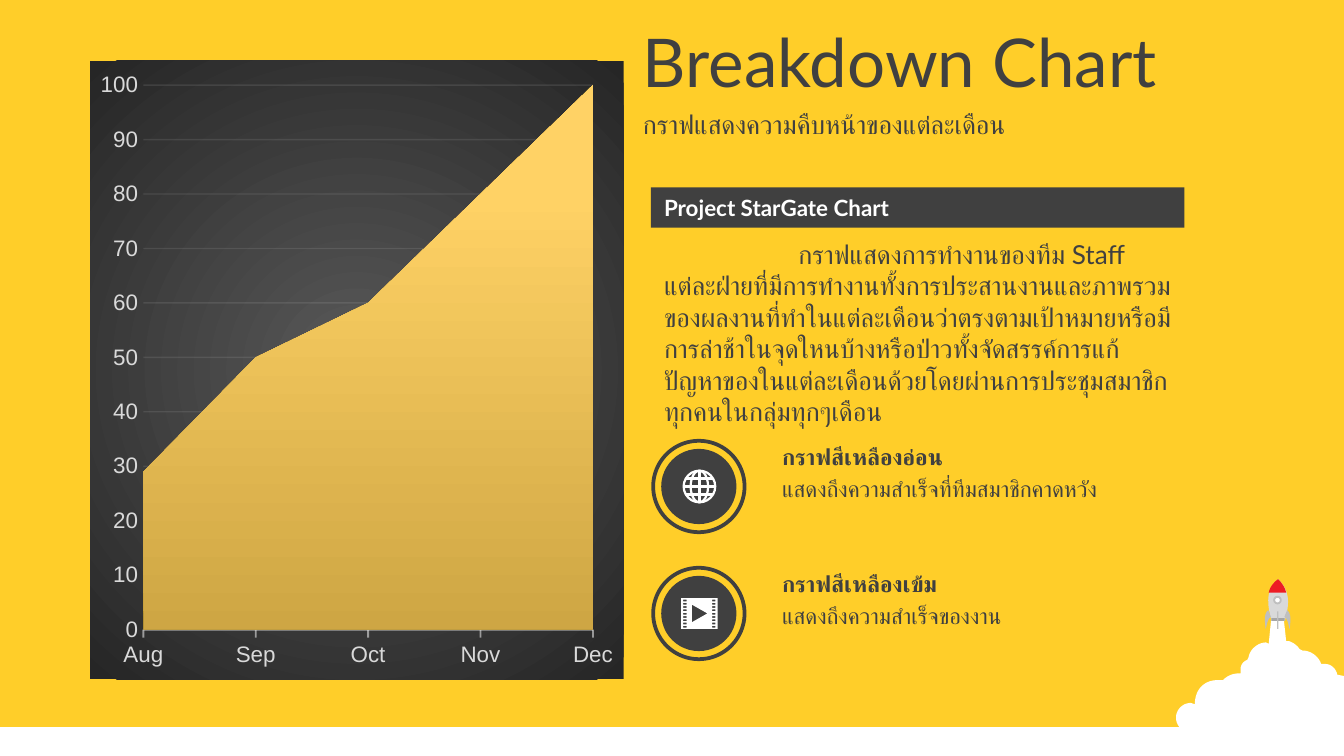
from typing import NamedTuple

from lxml.etree import SubElement
from pptx import Presentation
from pptx.chart.data import CategoryChartData
from pptx.dml.color import RGBColor
from pptx.enum.chart import XL_CHART_TYPE, XL_TICK_MARK
from pptx.enum.shapes import MSO_CONNECTOR, MSO_SHAPE
from pptx.enum.text import MSO_ANCHOR
from pptx.oxml import parse_xml
from pptx.oxml.ns import nsdecls, qn
from pptx.util import Inches, Pt

YELLOW, DARK, WHITE, GREY = "FFCE29", "404040", "FFFFFF", "BFBFBF"
COLS, ROWS = 100, 56.25  # square grid cells of a tenth of an inch


class Box(NamedTuple):
    col: float
    row: float
    cols: float
    rows: float


class Label(NamedTuple):
    box: Box
    text: str
    size: float
    font: str = "Lato"
    bold: bool = False
    color: str = DARK
    middle: bool = False
    indent: float = 0


class Legend(NamedTuple):
    row: float
    title: str
    text: str


def cell(n: float) -> int:
    return Inches(n / 10)


def rgb(color: str) -> RGBColor:
    return RGBColor.from_string(color)


def paint(sp, fill: str = "", line: str = "", width: float = 1):
    sp.shadow.inherit = False
    for part, color in ((sp.fill, fill), (sp.line.fill, line)):
        if color:
            part.solid()
            part.fore_color.rgb = rgb(color)
        else:
            part.background()
    if line:
        sp.line.width = Pt(width)
    return sp


def add_shape(kind, box: Box, **look):
    return paint(s.shapes.add_shape(kind, *map(cell, box)), **look)


def disc(col: float, row: float, w: float, h: float, **look):
    return add_shape(MSO_SHAPE.OVAL, Box(col - w / 2, row - h / 2, w, h), **look)


def add_line(x1: float, y1: float, x2: float, y2: float, color: str, width: float):
    ln = s.shapes.add_connector(MSO_CONNECTOR.STRAIGHT, *map(cell, (x1, y1, x2, y2)))
    ln.line.color.rgb, ln.line.width = rgb(color), Pt(width)
    SubElement(ln._element.spPr, qn("a:effectLst"))


def flatten(path: list, steps: int = 10) -> list:
    """Turn pairs (corners) and sextets (Bezier curves) into plain points."""
    pts = []
    for seg in path:
        if len(seg) == 2:
            pts.append(seg)
            continue
        ctrl = [pts[-1], seg[:2], seg[2:4], seg[4:]]
        for i in range(1, steps + 1):
            t = i / steps
            share = ((1 - t) ** 3, 3 * t * (1 - t) ** 2, 3 * t * t * (1 - t), t ** 3)
            pts.append(tuple(sum(k * p[a] for k, p in zip(share, ctrl)) for a in (0, 1)))
    return pts


def outline(color: str, *paths: list):
    contours = [[(cell(x), cell(y)) for x, y in flatten(path)] for path in paths]
    fb = s.shapes.build_freeform(*contours[0][0], scale=1.0)
    for i, pts in enumerate(contours):
        if i:
            fb.move_to(*pts[0])
        fb.add_line_segments(pts[1:], close=True)
    return paint(fb.convert_to_shape(), color)


def write(sp, label: Label):
    tf = sp.text_frame
    tf.word_wrap = True
    tf.vertical_anchor = MSO_ANCHOR.MIDDLE if label.middle else MSO_ANCHOR.TOP
    p = tf.paragraphs[0]
    pPr = p._p.get_or_add_pPr()
    pPr.set("algn", "l")
    if label.indent:
        pPr.set("indent", str(cell(label.indent)))
    r = p.add_run()
    r.text = label.text
    for name, value in {"name": label.font, "size": Pt(label.size), "bold": label.bold}.items():
        setattr(r.font, name, value)
    r.font.color.rgb = rgb(label.color)


def gradient(stops: dict, direction: str):
    gs = "".join(f'<a:gs pos="{pos * 1000}"><a:srgbClr val="{c}"/></a:gs>' for pos, c in stops.items())
    return parse_xml(f'<a:gradFill {nsdecls("a")} rotWithShape="1"><a:gsLst>{gs}</a:gsLst>{direction}</a:gradFill>')


def faint_line(fmt, root, where: str, width: float, alpha: int):
    fmt.line.color.rgb, fmt.line.width = rgb("F2F2F2"), Pt(width)
    SubElement(root.xpath(where)[0], qn("a:alpha"), val=str(alpha * 1000))


def add_area_chart(box: Box, series: list):
    data = CategoryChartData()
    data.categories = ["Aug", "Sep", "Oct", "Nov", "Dec"]
    for name, values, _ in series:
        data.add_series(name, values)
    chart = s.shapes.add_chart(XL_CHART_TYPE.AREA, *map(cell, box), data).chart
    chart.has_legend = chart.has_title = False
    chart.font.name, chart.font.size = "Arial", Pt(10)
    # Dark radial backdrop
    back = parse_xml(f'<c:spPr {nsdecls("c", "a")}><a:ln><a:noFill/></a:ln></c:spPr>')
    back.insert(0, gradient({0: "595959", 100: "262626"},
                            '<a:path path="circle"><a:fillToRect l="50000" t="50000" r="50000" b="50000"/></a:path>'))
    chart._chartSpace.find(qn("c:chart")).addnext(back)
    # Series shaded upwards
    for ser, (_, _, stops) in zip(chart.plots[0].series, series):
        ser.format.fill.solid()
        solid = ser._element.xpath("c:spPr/a:solidFill")[0]
        solid.getparent().replace(solid, gradient(stops, '<a:lin ang="16200000" scaled="0"/>'))
        ser.format.line.fill.background()
    # Axes
    cat, val = chart.category_axis, chart.value_axis
    for axis in (cat, val):
        font = axis.tick_labels.font
        font.name, font.size, font.color.rgb = "Arial", Pt(12), rgb("D9D9D9")
        axis.minor_tick_mark = XL_TICK_MARK.NONE
    cat.major_tick_mark, val.major_tick_mark = XL_TICK_MARK.OUTSIDE, XL_TICK_MARK.NONE
    val.minimum_scale, val.maximum_scale, val.major_unit = 0, 100, 10
    val.has_major_gridlines = True
    val.format.line.fill.background()
    for cross in val._element.xpath("c:crossBetween"):
        cross.set("val", "midCat")
    faint_line(cat.format, cat._element, "c:spPr/a:ln//a:srgbClr", 1, 54)
    faint_line(val.major_gridlines.format, val._element, "c:majorGridlines//a:srgbClr", 0.75, 10)


def globe(x: float, y: float):
    for w in (2.35, 1.3):
        disc(x, y, w, 2.35, line=WHITE, width=1.2)
    add_line(x, y - 1.15, x, y + 1.15, WHITE, 1.2)
    for dy, half in ((-0.6, 1), (0, 1.15), (0.6, 1)):
        add_line(x - half, y + dy, x + half, y + dy, WHITE, 1.2)


def film(x: float, y: float):
    holes = [[(x + a, y + b), (x + a, y + b + 0.13), (x + a + 0.25, y + b + 0.13), (x + a + 0.25, y + b)]
             for a in (-1.2, 0.95) for b in (-1.03 + 0.245 * i for i in range(9))]
    play = [(x - 0.55, y - 0.65), (x - 0.55, y + 0.65), (x + 0.6, y)]
    frame = [(x - 1.35, y - 1.15), (x + 1.35, y - 1.15), (x + 1.35, y + 1.15), (x - 1.35, y + 1.15)]
    outline(WHITE, frame, play, *holes)


prs = Presentation()
prs.slide_width, prs.slide_height = cell(COLS), cell(ROWS)
s = prs.slides.add_slide(prs.slide_layouts[6])
s.background.fill.solid()
s.background.fill.fore_color.rgb = rgb(YELLOW)

# Ground and smoke
add_shape(MSO_SHAPE.RECTANGLE, Box(0, 54.1, COLS, ROWS - 54.1), fill=WHITE)
outline(WHITE, [
    (94.6, 45.9), (95.5, 45.9), (95.7, 47.7), (95.9, 47.7), (96.2, 47.8, 96.5, 48, 96.7, 48.3),
    (96.9, 48.4), (97.5, 48.4, 98.1, 48.8, 98.3, 49.4), (98.6, 49.4), (99, 49.4, 99.4, 49.7, 99.5, 50.2),
    (100, 50.3), (100, 56.1), (93.4, 56.1), (92.3, 56.1, 91.7, 55.6, 91.3, 55.1),
    (91.1, 55.3, 90.7, 55.4, 90.4, 55.3), (90, 55.2, 89.4, 55, 89.3, 54.5),
    (89.1, 54.5, 88.9, 54.5, 88.6, 54.5), (88, 54.5, 87.5, 54, 87.5, 53.4),
    (87.5, 52.8, 88, 52.3, 88.6, 52.3), (88.9, 52.4), (88.9, 51.3, 89.6, 50.6, 90.6, 50.6), (91, 50.6),
    (91.4, 50.2, 91.8, 50.1, 92.3, 50.1), (92.3, 49.8), (92.3, 49.5, 92.5, 49.2, 92.8, 49.1), (92.9, 48.9),
    (93, 48.3, 93.6, 47.8, 94.2, 47.8), (94.4, 47.9)])

# Rocket
outline("D9D9D9", [(94.6, 46.2), (94.4, 45.3, 94, 44, 95.1, 43.1), (96.2, 44.1, 95.8, 45.4, 95.6, 46.2)])
add_shape(MSO_SHAPE.RECTANGLE, Box(94.6, 46, 1, 0.2), fill="A6A6A6")
outline("ED1C24", [(95.1, 43.1), (95.4, 43.4, 95.6, 43.7, 95.7, 44.1), (94.4, 44.1), (94.5, 43.7, 94.7, 43.4, 95.1, 43.1)])
disc(95.05, 44.65, 0.5, 0.5, fill=WHITE, line=GREY)
add_shape(MSO_SHAPE.RECTANGLE, Box(95.02, 45.5, 0.1, 1.3), fill=GREY)
for side in (-1, 1):
    fin = [(0.7, 45.4), (0.5, 45.9), (0.8, 46.1, 0.8, 46.6, 0.9, 46.8), (0.9, 46.5, 1.1, 45.7, 0.7, 45.4)]
    outline(GREY, [tuple(v if i % 2 else 95.07 + side * v for i, v in enumerate(seg)) for seg in fin])

# Progress chart
add_area_chart(Box(6.7, 4.53, 39.7, 46), [
    ("Series 1", (29, 50, 60, 80, 100), {0: "CEA644", 80: "FFD265", 100: "FFD367"}),
    ("Series 2", (20, 40, 52, 77, 100), {0: "A98405", 80: "DCAB07", 100: "E1AE03"})])

# Legend: ringed icons with captions
LEGENDS = [Legend(36.2, "กราฟสีเหลืองอ่อน", "แสดงถึงความสำเร็จที่ทีมสมาชิกคาดหวัง"),
           Legend(45.65, "กราฟสีเหลืองเข้ม", "แสดงถึงความสำเร็จของงาน")]
labels = []
for item, icon in zip(LEGENDS, (globe, film)):
    disc(52, item.row, 6.8, 6.8, fill=YELLOW, line=DARK, width=2)
    disc(52, item.row, 5.6, 5.6, fill=DARK)
    icon(52.04, item.row)
    labels += [Label(Box(57.2, item.row - 3.7, 32.2, 3), item.title, 12, "Arial", True),
               Label(Box(57.2, item.row - 1.35, 32.2, 3), item.text, 12)]

# Headings and description
labels += [
    Label(Box(46.85, 1.4, 53.1, 6.3), "Breakdown Chart", 36, middle=True),
    Label(Box(46.85, 7.7, 53.1, 3.1), "กราฟแสดงความคืบหน้าของแต่ละเดือน", 14, middle=True),
    Label(Box(48.43, 17.25, 39.7, 12.8),
          "กราฟแสดงการทำงานของทีม Staff แต่ละฝ่ายที่มีการทำงานทั้งการประสานงานและภาพรวมของผลงานที่ทำในแต่ละเดือน"
          "ว่าตรงตามเป้าหมายหรือมีการล่าช้าในจุดใหนบ้างหรือป่าวทั้งจัดสรรค์การแก้ปัญหาของในแต่ละเดือนด้วย"
          "โดยผ่านการประชุมสมาชิกทุกคนในกลุ่มทุกๆเดือน", 14, indent=10)]
for label in labels:
    write(s.shapes.add_textbox(*map(cell, label.box)), label)
banner = Label(Box(48.43, 13.95, 39.7, 3), "Project StarGate Chart", 12, bold=True, color=WHITE)
write(add_shape(MSO_SHAPE.RECTANGLE, banner.box, fill=DARK), banner)

prs.save("out.pptx")
